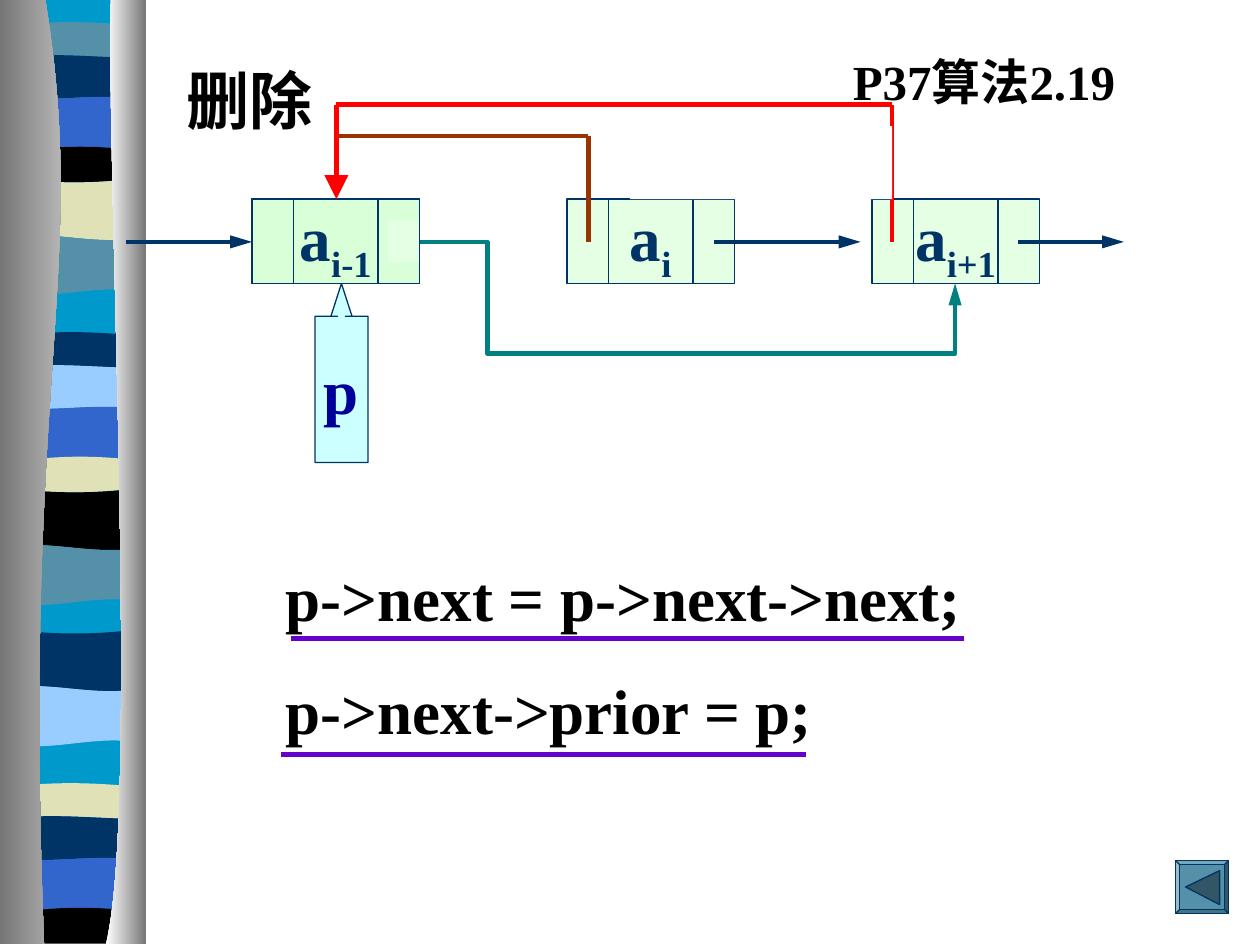
"""Build the slide on deleting a node from a doubly linked list."""
from lxml.etree import SubElement
from pptx import Presentation
from pptx.dml.color import RGBColor
from pptx.enum.shapes import MSO_CONNECTOR, MSO_SHAPE
from pptx.enum.text import MSO_ANCHOR, MSO_AUTO_SIZE, PP_ALIGN
from pptx.oxml.ns import qn
from pptx.util import Inches, Pt

WHITE, MINT = "FFFFFF", "CCFFCC"
NAVY, BROWN, RED, TEAL, PURPLE = "003366", "993300", "FF0000", "008080", "6600CC"
SKY, STEEL, BLUE, BLACK, SAND, PALE = "0099CC", "5490A8", "3366CC", "000000", "E1E1B7", "99CCFF"
FONT = "Times New Roman"

WAVES = [(0.21, 0.16, 0.17, 0.21), (0.46, 0.41, 0.46, 0.46), (0.77, 0.82, 0.73, 0.79),
         (1.22, 1.15, 1.15, 1.2), (1.41, 1.46, 1.46, 1.41), (1.88, 1.82, 1.96, 1.88),
         (2.32, 2.4, 2.24, 2.32)]
STRIPE_CYCLES = [(0, 0, [STEEL, NAVY, BLUE, BLACK, SAND, STEEL, SKY]),
                 (2.46, 0, [NAVY, PALE, BLUE, SAND, BLACK, STEEL, SKY]),
                 (3.58, 4, [NAVY, PALE, SKY]),
                 (6.04, 0, [SAND, NAVY, BLUE, BLACK])]
SIDES = [([(0.36, 0), (0.71, 2.16), (0.17, 2.96), (0.35, 7.49)], 0, ("767676", "D2D2D2")),
         ([(0.88, 0), (0.84, 1.25), (1.11, 6.46), (0.84, 7.49)], 1.16, (WHITE, "767676"))]

NODES = [(2, "i-1"), (4.5, "i"), (6.92, "i+1")]
NODE_TOP, NODE_W, NODE_H, NODE_MID = 1.58, 1.33, 0.67, 1.92
NEXT_ARROWS = [(1, 2), (5.67, 6.83), (8.08, 8.92)]
PRIOR_ROUTES = [(BROWN, 2.5, [(4.67, 1.92), (4.67, 1.08), (2.67, 1.08)], None),
                (RED, 2.75, [(7.08, 1.92), (7.08, 0.83), (2.67, 0.83), (2.67, 1.58)], "lg")]
CODE = ["p->next = p->next->next;", "p->next->prior = p;"]
UNDERLINES = [(2.31, 7.65, 5.07), (2.23, 6.4, 5.99)]


def rgb(value):
    return RGBColor.from_string(value)


def style(sp, fill, line=None, alpha=100):
    sp.shadow.inherit = False
    sp.fill.solid()
    sp.fill.fore_color.rgb = rgb(fill)
    if alpha < 100:
        colour = sp.fill._xPr.find(qn("a:solidFill"))[0]
        SubElement(colour, qn("a:alpha")).set("val", str(alpha * 1000))
    if line:
        sp.line.color.rgb = rgb(line)
        sp.line.width = Pt(0.75)
    else:
        sp.line.fill.background()


def add_run(p, text, size, colour, base=None):
    r = p.add_run()
    r.text = text
    r.font.size, r.font.bold, r.font.name = Pt(size), True, FONT
    r.font.color.rgb = rgb(colour)
    if base:
        r.font._element.set("baseline", str(base))


def add_line(s, start, end, colour, width, head=None, kind=MSO_CONNECTOR.STRAIGHT):
    line = s.shapes.add_connector(kind, *[Inches(v) for v in (*start, *end)])
    line.line.color.rgb = rgb(colour)
    line.line.width = Pt(width)
    if head:
        tail = SubElement(line.line._get_or_add_ln(), qn("a:tailEnd"))
        for key, value in (("type", "triangle"), ("w", head), ("len", "lg")):
            tail.set(key, value)
    SubElement(line._element.spPr, qn("a:effectLst"))
    return line


def add_box(s, kind, *at):
    return s.shapes.add_shape(kind, *[Inches(v) for v in at])


def add_outline(s, points, curves=()):
    """Draw a closed outline; each index in curves starts a cubic through three points."""
    (x, y), *rest = [(Inches(a), Inches(b)) for a, b in points]
    builder = s.shapes.build_freeform(x, y)
    builder.add_line_segments(rest, close=True)
    sp = builder.convert_to_shape()
    segments = list(sp._element.iter(qn("a:lnTo")))
    for first in curves:
        segments[first].tag = qn("a:cubicBezTo")
        for segment in segments[first + 1:first + 3]:
            segments[first].append(segment[0])
            segment.getparent().remove(segment)
    return sp


def stripe_edge(heights):
    return list(zip((0.05, 0.41, 0.77, 1.13), heights))


def draw_pillar(s):
    style(add_box(s, MSO_SHAPE.RECTANGLE, 0.06, 0, 1.08, 7.47), SKY)
    stripes = []
    for offset, first, colours in STRIPE_CYCLES:
        stripes += [(c, [y + offset for y in w]) for c, w in zip(colours, WAVES[first:])]
    bottoms = [wave for _, wave in stripes[1:]] + [(7.49,) * 4]
    for (colour, top), bottom in zip(stripes, bottoms):
        if colour != SKY:
            points = stripe_edge(top) + stripe_edge(bottom)[::-1]
            style(add_outline(s, points, (0, 4)), colour)
    for controls, edge, colours in SIDES:
        sp = add_outline(s, controls + [(edge, 7.49), (edge, 0)], (0,))
        style(sp, colours[0])
        sp.fill.gradient()
        sp.fill.gradient_angle = 0
        for stop, colour, at in zip(sp.fill.gradient_stops, colours, (0, 1)):
            stop.color.rgb = rgb(colour)
            stop.position = at


def centre_text(sp, *runs):
    tf = sp.text_frame
    tf.word_wrap, tf.vertical_anchor = False, MSO_ANCHOR.MIDDLE
    p = tf.paragraphs[0]
    p.alignment = PP_ALIGN.CENTER
    for run in runs:
        add_run(p, *run)


def add_node(s, left):
    sp = add_box(s, MSO_SHAPE.RECTANGLE, left, NODE_TOP, NODE_W, NODE_H)
    style(sp, MINT, NAVY, 50)
    return sp


def draw_list(s):
    add_node(s, NODES[0][0])
    style(add_box(s, MSO_SHAPE.RECTANGLE, 3.08, 1.75, 1.33, 0.33), WHITE)
    for left, index in NODES:
        centre_text(add_node(s, left), ("a", 36, NAVY), (index, 36, NAVY, -25000))
        for x in (left + 0.33, left + 1):
            add_line(s, (x, NODE_TOP), (x, NODE_TOP + NODE_H), NAVY, 0.75)
    for x1, x2 in NEXT_ARROWS:
        add_line(s, (x1, NODE_MID), (x2, NODE_MID), NAVY, 2.5, "med")
    for colour, width, points, head in PRIOR_ROUTES:
        for start, end in zip(points, points[1:]):
            add_line(s, start, end, colour, width, head if end == points[-1] else None)
    style(add_box(s, MSO_SHAPE.RECTANGLE, 5, 1, 2.08, 0.58), WHITE)

    bypass = add_line(s, (3.33, NODE_MID), (7.58, 2.25), TEAL, 2.5, "med", MSO_CONNECTOR.ELBOW)
    geom = bypass._element.spPr.find(qn("a:prstGeom"))
    geom.set("prst", "bentConnector4")
    guides = geom.find(qn("a:avLst"))
    for name, value in (("adj1", 12700), ("adj2", 268800)):
        guide = SubElement(guides, qn("a:gd"))
        guide.set("name", name)
        guide.set("fmla", f"val {value}")

    pointer = add_box(s, MSO_SHAPE.UP_ARROW_CALLOUT, 2.5, 2.25, 0.42, 1.42)
    for i, value in enumerate((0.15, 0.2, 0.62, 1.26)):
        pointer.adjustments[i] = value
    style(pointer, "CCFFFF", NAVY)
    centre_text(pointer, ("p", 36, "000099"))


def add_text(s, at, lines, size, spacing=1.0):
    tf = s.shapes.add_textbox(*[Inches(v) for v in at]).text_frame
    tf.word_wrap, tf.auto_size = False, MSO_AUTO_SIZE.SHAPE_TO_FIT_TEXT
    for i, text in enumerate(lines):
        p = tf.add_paragraph() if i else tf.paragraphs[0]
        p.line_spacing = spacing
        add_run(p, text, size, BLACK)


def main():
    prs = Presentation()
    prs.slide_width, prs.slide_height = Inches(10), Inches(7.5)
    s = prs.slides.add_slide(prs.slide_layouts[5])
    draw_pillar(s)

    title = s.shapes.title
    title.left, title.top, title.width, title.height = [Inches(v) for v in (1.38, 0.44, 1.25, 0.7)]
    tf = title.text_frame
    tf.word_wrap, tf.vertical_anchor, tf.auto_size = False, MSO_ANCHOR.TOP, MSO_AUTO_SIZE.NONE
    tf.paragraphs[0].alignment = PP_ALIGN.LEFT
    add_run(tf.paragraphs[0], "删除", 36, BLACK)

    draw_list(s)
    add_text(s, (2.17, 4.08, 5.56, 1.9), CODE, 36, 1.5)
    for x1, x2, y in UNDERLINES:
        add_line(s, (x1, y), (x2, y), PURPLE, 3)

    button = add_box(s, MSO_SHAPE.BEVEL, 9.33, 6.83, 0.42, 0.42)
    button.adjustments[0] = 0.07
    style(button, STEEL, NAVY)
    style(add_outline(s, [(9.41, 7.04), (9.68, 6.91), (9.68, 7.18)]), "325665", NAVY)
    add_text(s, (6.67, 0.36, 3.22, 0.57), ["P37算法2.19"], 28)
    prs.save("out.pptx")


if __name__ == "__main__":
    main()
